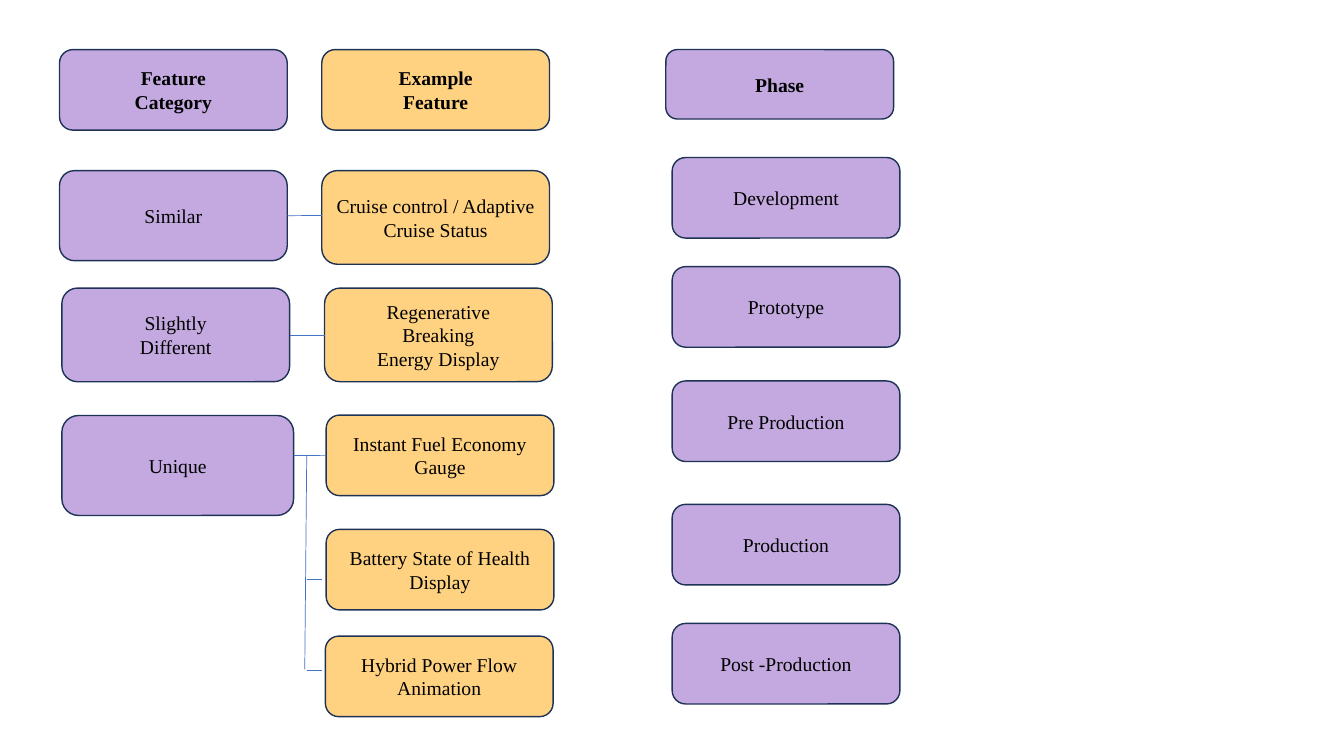
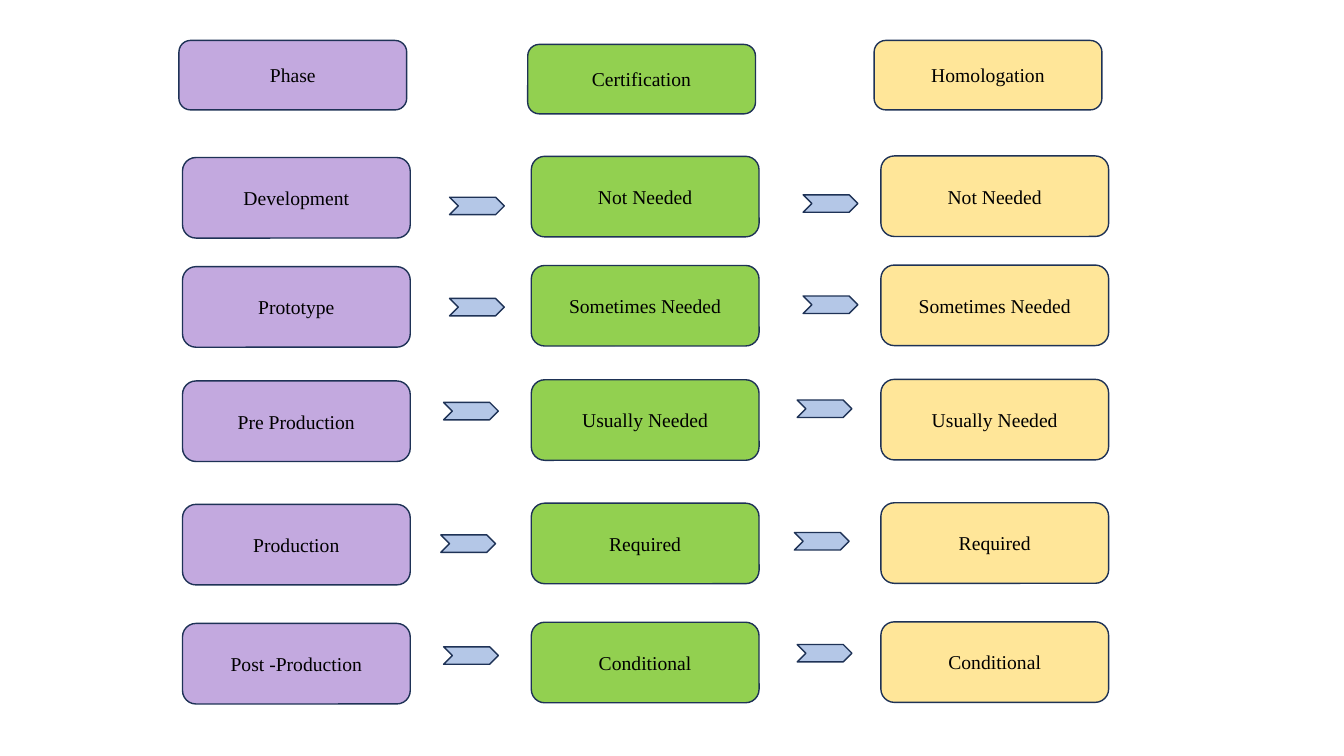
from pptx import Presentation
from pptx import util as u
from pptx.dml.color import RGBColor
from pptx.enum import shapes, text
from pptx.oxml.ns import qn
from lxml import etree

COLOURS = {
    "purple": "C3A9DF", "orange": "FFD281", "green": "92D050",
    "yellow": "FFE699", "arrow": "B4C7E7", "outline": "1E3256",
    "link": "4472C4", "text": "000000",
}
BOX_WIDTH, BOX_HEIGHT, HEADER_HEIGHT = 5.74, 2.03, 1.75
LEFT_SIDE, RIGHT_SIDE = 1, 3
PHASES = ["Development", "Prototype", "Pre Production", "Production", "Post -Production"]
PHASE_TOPS = [3.97, 6.72, 9.6, 12.71, 15.71]
NEEDS = ["Not Needed", "Sometimes Needed", "Usually Needed", "Required", "Conditional"]


def colour(name):
    return RGBColor.from_string(COLOURS[name])


def write_text(frame, words, size=14, bold=False, font="Times New Roman"):
    """Fill the frame with centred text, one paragraph per line of words."""
    frame.word_wrap = True
    frame.vertical_anchor = text.MSO_ANCHOR.MIDDLE
    for index, line in enumerate(words.split("\n")):
        para = frame.paragraphs[0] if index == 0 else frame.add_paragraph()
        para.alignment = text.PP_ALIGN.CENTER
        span = para.add_run()
        span.text = line
        span.font.name = font
        span.font.size = u.Pt(size)
        span.font.bold = bold
        span.font.color.rgb = colour("text")


class Board:
    """Holds the deck, its style and the slide being drawn; lengths are in cm."""

    def __init__(self):
        self.deck = Presentation()
        self.deck.slide_width = u.Cm(33.87)
        self.deck.slide_height = u.Cm(19.05)
        self.page = None

    def new_page(self):
        self.page = self.deck.slides.add_slide(self.deck.slide_layouts[6])

    def shape(self, kind, left, top, width, height, fill):
        item = self.page.shapes.add_shape(
            kind, u.Cm(left), u.Cm(top), u.Cm(width), u.Cm(height))
        item.shadow.inherit = False
        item.fill.solid()
        item.fill.fore_color.rgb = colour(fill)
        item.line.color.rgb = colour("outline")
        item.line.width = u.Pt(1)
        return item

    def box(self, words, left, top, fill, width=BOX_WIDTH, height=BOX_HEIGHT, bold=False):
        item = self.shape(shapes.MSO_SHAPE.ROUNDED_RECTANGLE, left, top, width, height, fill)
        write_text(item.text_frame, words, bold=bold)
        return item

    def column(self, labels, left, tops, fill):
        for label, top in zip(labels, tops):
            self.box(label, left, top, fill)

    def arrow(self, left, top):
        self.shape(shapes.MSO_SHAPE.CHEVRON, left, top, 1.38, 0.44, "arrow")

    def link(self, start, end, source=None, target=None):
        """Draw a thin line, joined to the source's right or the target's left side."""
        line = self.page.shapes.add_connector(
            shapes.MSO_CONNECTOR.STRAIGHT, *(u.Cm(value) for value in (*start, *end)))
        line.line.color.rgb = colour("link")
        line.line.width = u.Pt(0.5)
        etree.SubElement(line._element.spPr, qn("a:effectLst"))
        if source is not None:
            line.begin_connect(source, RIGHT_SIDE)
        if target is not None:
            line.end_connect(target, LEFT_SIDE)


def draw_features(board):
    board.new_page()
    board.box("Feature\nCategory", 1.5, 1.25, "purple", bold=True)
    similar = board.box("Similar", 1.5, 4.3, "purple", height=2.27)
    board.box("Slightly\nDifferent", 1.56, 7.26, "purple", height=2.36)
    board.box("Unique", 1.56, 10.47, "purple", width=5.84, height=2.52)

    board.box("Example\nFeature", 8.11, 1.25, "orange", bold=True)
    board.box("Cruise control / Adaptive\nCruise Status", 8.11, 4.3, "orange", height=2.36)
    braking = board.box("Regenerative\nBreaking\nEnergy Display", 8.18, 7.26, "orange", height=2.36)
    gauge = board.box("Instant Fuel Economy Gauge", 8.22, 10.46, "orange")
    board.box("Battery State of Health Display", 8.22, 13.34, "orange")
    board.box("Hybrid Power Flow Animation", 8.2, 16.03, "orange")

    board.link((7.24, 5.43), (8.11, 5.43), source=similar)
    board.link((7.3, 8.44), (8.18, 8.44), target=braking)
    board.link((7.4, 11.48), (8.22, 11.48), target=gauge)
    board.link((7.73, 11.48), (7.68, 16.87))
    for top in (14.6, 16.9):
        board.link((7.73, top), (8.12, top))

    board.box("Phase", 16.78, 1.25, "purple", height=HEADER_HEIGHT, bold=True)
    board.column(PHASES, 16.94, PHASE_TOPS, "purple")


def draw_approvals(board):
    board.new_page()
    columns = [
        ("Phase", 4.51, 1.02, PHASES, 4.6, 0, "purple"),
        ("Certification", 13.3, 1.12, NEEDS, 13.39, 0.03, "green"),
        ("Homologation", 22.03, 1.02, NEEDS, 22.2, 0.04, "yellow"),
    ]
    for header, header_left, header_top, labels, left, rise, fill in columns:
        board.box(header, header_left, header_top, fill, height=HEADER_HEIGHT)
        board.column(labels, left, [top - rise for top in PHASE_TOPS], fill)

    arrows = [(11.33, 4.97), (11.33, 7.52), (11.18, 10.14), (11.11, 13.48), (11.18, 16.3)]
    for shift, rise in ((0, 0), (8.91, 0.06)):
        for left, top in arrows:
            board.arrow(left + shift, top - rise)


def main():
    board = Board()
    draw_features(board)
    draw_approvals(board)
    board.deck.save("out.pptx")


if __name__ == "__main__":
    main()
